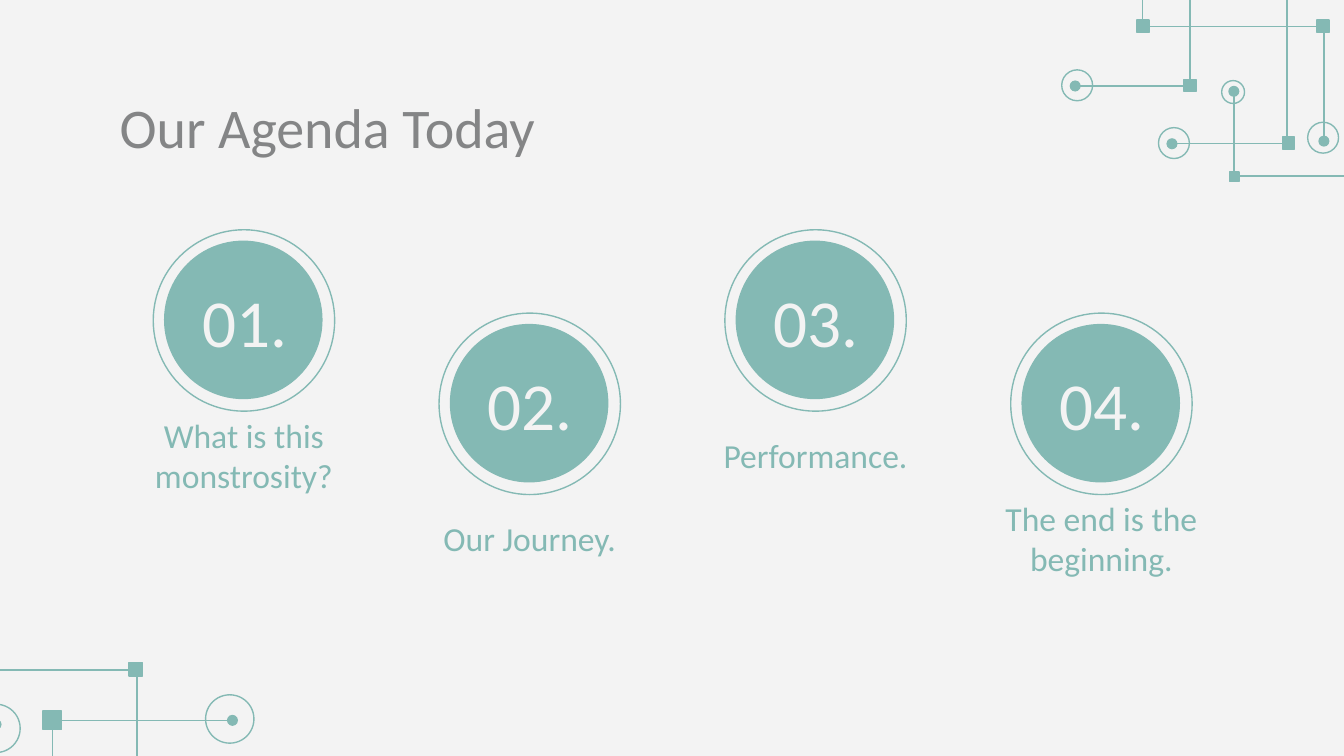
from lxml.etree import SubElement
from pptx import Presentation
from pptx.dml.color import RGBColor as Rgb
from pptx.enum.shapes import MSO_CONNECTOR as Link, MSO_SHAPE as Kind
from pptx.enum.text import MSO_ANCHOR as Anchor, MSO_AUTO_SIZE as Auto, PP_ALIGN as Align
from pptx.oxml.ns import qn
from pptx.util import Inches, Pt

COLORS = {"paper": "F3F3F3", "teal": "84B9B4", "gray": "848586"}
FONT = "Calibri"
WIDE = 10
HIGH = WIDE * 9 / 16
STEPS = ["What is this monstrosity?", "Our Journey.", "Performance.", "The end is the beginning."]
TOP = {
    "flat": [(0.82, 1.07, 2.53, -0.28), (0.1, 0.64, 1.81, -0.71)],
    "tall": [(0.6, -0.66, 1.95, 1.05), (1.28, 0.68, 2.27, 1.94)],
    "rings": [(0.72, 0.95, 0.23), (1.83, 0.91, 0.23), (1.19, 0.6, 0.17), (0, 0.52, 0.23)],
    "knots": [(1.64, 1.02, 0.09), (1.9, 0.15, 0.09), (0.56, 0.15, 0.09),
              (1.25, 1.28, 0.07), (0.91, 0.59, 0.09)],
}
BASE = {
    "flat": [(1.73, 0.46, -0.95, 2.57)],
    "tall": [(-0.03, 0.49, 2.08, 3.17), (-0.54, -0.9, 1.02, 1.07)],
    "rings": [(1.53, 0.27, 0.36), (-0.21, 0.34, 0.36)],
    "knots": [(0.32, 0.39, 0.14), (0.96, 0.03, 0.1)],
}


def tint(name):
    return Rgb.from_string(COLORS[name])


def mark(slide, kind, left, top, size, fill=True, line=True):
    shape = slide.shapes.add_shape(kind, *map(Inches, (left, top, size, size)))
    shape.shadow.inherit = False
    if fill:
        shape.fill.solid()
        shape.fill.fore_color.rgb = tint("teal")
    else:
        shape.fill.background()
    if line:
        shape.line.color.rgb = tint("teal")
        shape.line.width = Pt(0.75)
    else:
        shape.line.fill.background()


def wire(slide, x1, y1, x2, y2, tall=False):
    if tall:
        mid_x, mid_y = (x1 + x2) / 2, (y1 + y2) / 2
        half_w, half_h = (y2 - y1) / 2, (x2 - x1) / 2
        x1, x2 = mid_x + half_w, mid_x - half_w
        y1, y2 = mid_y - half_h, mid_y + half_h
    link = slide.shapes.add_connector(Link.ELBOW, *map(Inches, (x1, y1, x2, y2)))
    link.line.color.rgb = tint("teal")
    link.line.width = Pt(0.75)
    props = link._element.spPr
    if tall:
        props.find(qn("a:xfrm")).set("rot", "16200000")
    for end in ("a:headEnd", "a:tailEnd"):
        SubElement(props.find(qn("a:ln")), qn(end), type="oval")
    SubElement(props, qn("a:effectLst"))


def circuit(slide, left, top, parts):
    for way in ("flat", "tall"):
        for x1, y1, x2, y2 in parts[way]:
            wire(slide, left + x1, top + y1, left + x2, top + y2, way == "tall")
    for x, y, size in parts["rings"]:
        mark(slide, Kind.OVAL, left + x, top + y, size, fill=False)
    for x, y, size in parts["knots"]:
        mark(slide, Kind.RECTANGLE, left + x, top + y, size)


def write(shape, text, size, color, align, anchor, bottom=0.1):
    frame = shape.text_frame
    frame.text = text
    frame.word_wrap = True
    frame.auto_size = Auto.NONE
    frame.vertical_anchor = anchor
    frame.margin_left = frame.margin_right = frame.margin_top = Inches(0.1)
    frame.margin_bottom = Inches(bottom)
    para = frame.paragraphs[0]
    para.alignment = align
    para.font.name = FONT
    para.font.size = Pt(size)
    para.font.color.rgb = tint(color)


def header(slide, left, top, width, height):
    title = slide.shapes.title
    title.left, title.top, title.width, title.height = map(Inches, (left, top, width, height))
    write(title, "Our Agenda Today", 30, "gray", Align.LEFT, Anchor.TOP)


def step(slide, left, top, width, number, text):
    mark(slide, Kind.OVAL, left + 0.35, top, 1.35, fill=False)
    mark(slide, Kind.OVAL, left + 0.43, top + 0.08, 1.18, line=False)
    box = slide.shapes.add_textbox(*map(Inches, (left + 0.45, top + 0.37, 1.16, 0.61)))
    write(box, f"{number:02}.", 36, "paper", Align.CENTER, Anchor.MIDDLE)
    box = slide.shapes.add_textbox(*map(Inches, (left, top + 1.45, width, 0.35)))
    write(box, text, 18, "teal", Align.CENTER, Anchor.MIDDLE, bottom=0)


def agenda(slide, left, top, width, drop):
    col = 2.05
    pitch = (width - col) / (len(STEPS) - 1)
    for i, text in enumerate(STEPS):
        step(slide, left + i * pitch, top + i % 2 * drop, col, i + 1, text)


def main():
    deck = Presentation()
    deck.slide_width, deck.slide_height = Inches(WIDE), Inches(HIGH)
    slide = deck.slides.add_slide(deck.slide_layouts[5])
    slide.background.fill.solid()
    slide.background.fill.fore_color.rgb = tint("paper")
    circuit(slide, 7.9, 0, TOP)
    circuit(slide, 0, 4.9, BASE)
    header(slide, 0.79, 0.59, 8.43, 0.61)
    agenda(slide, 0.79, 1.71, 8.43, 0.62)
    deck.save("out.pptx")


if __name__ == "__main__":
    main()
